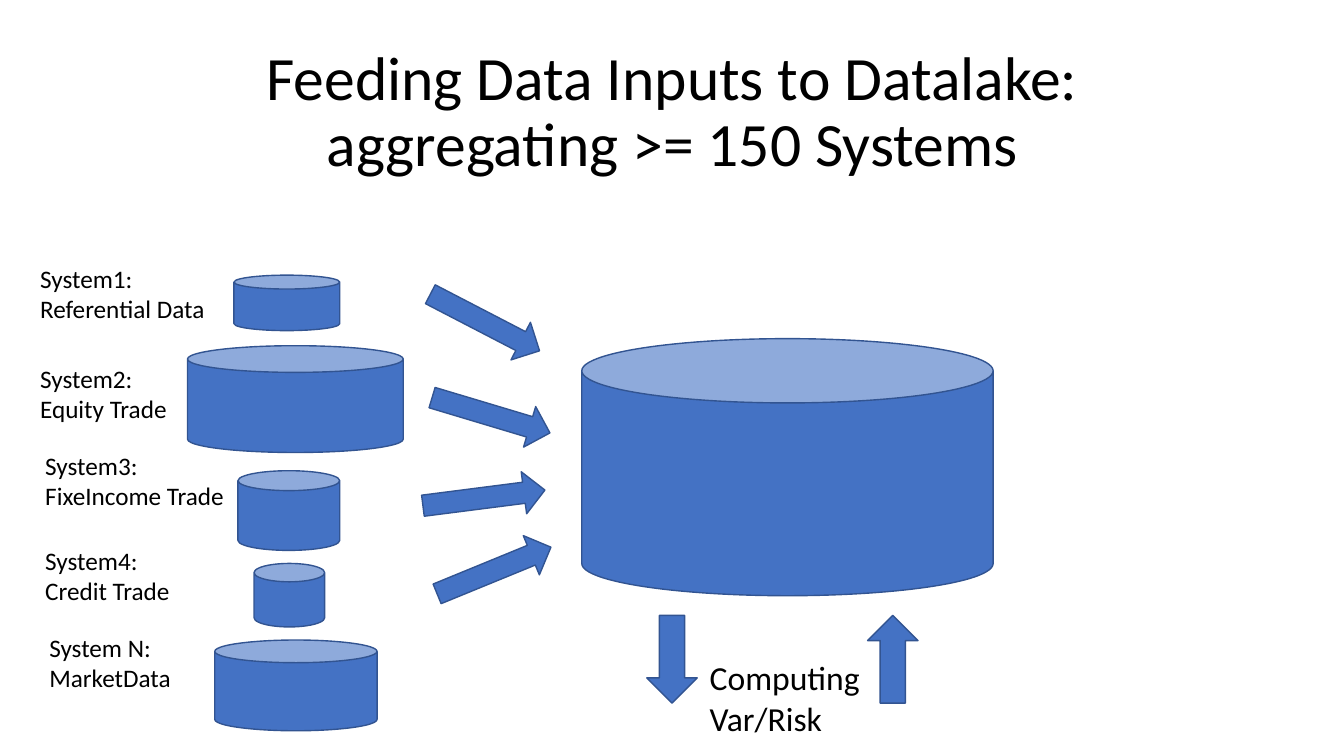
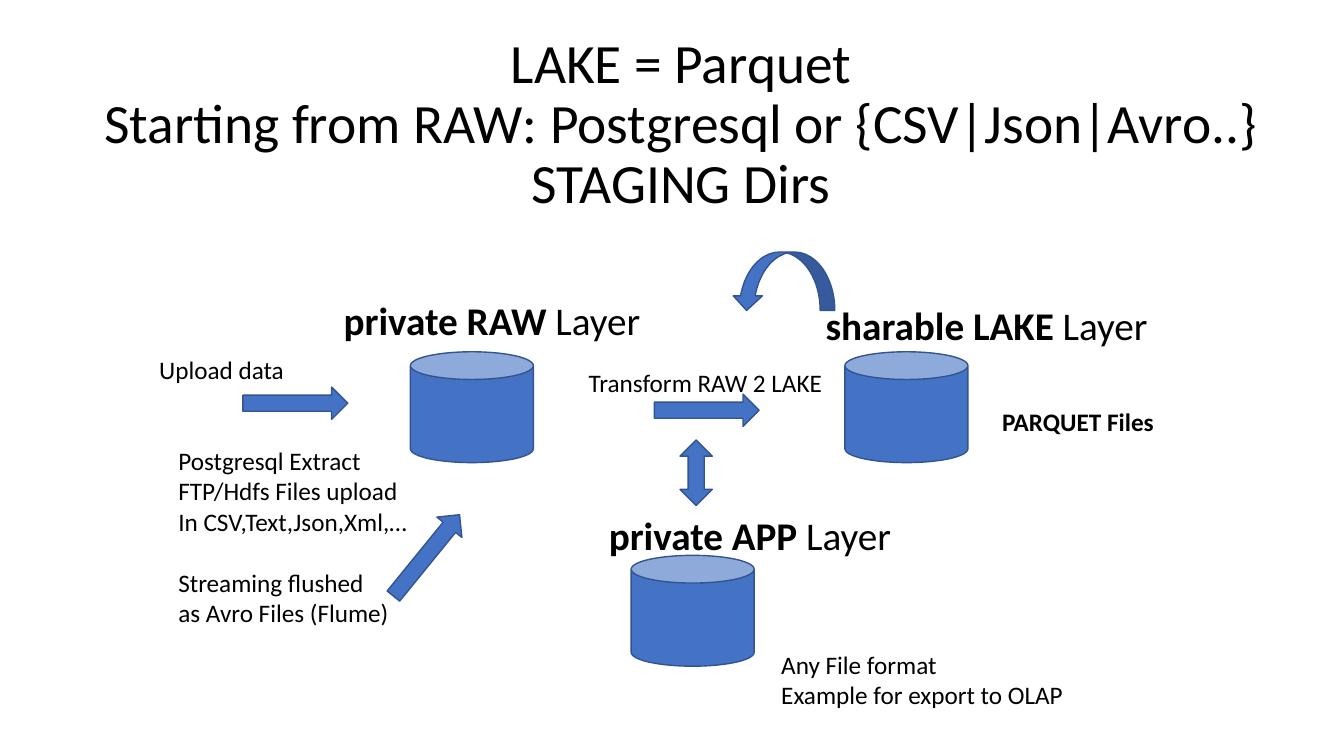
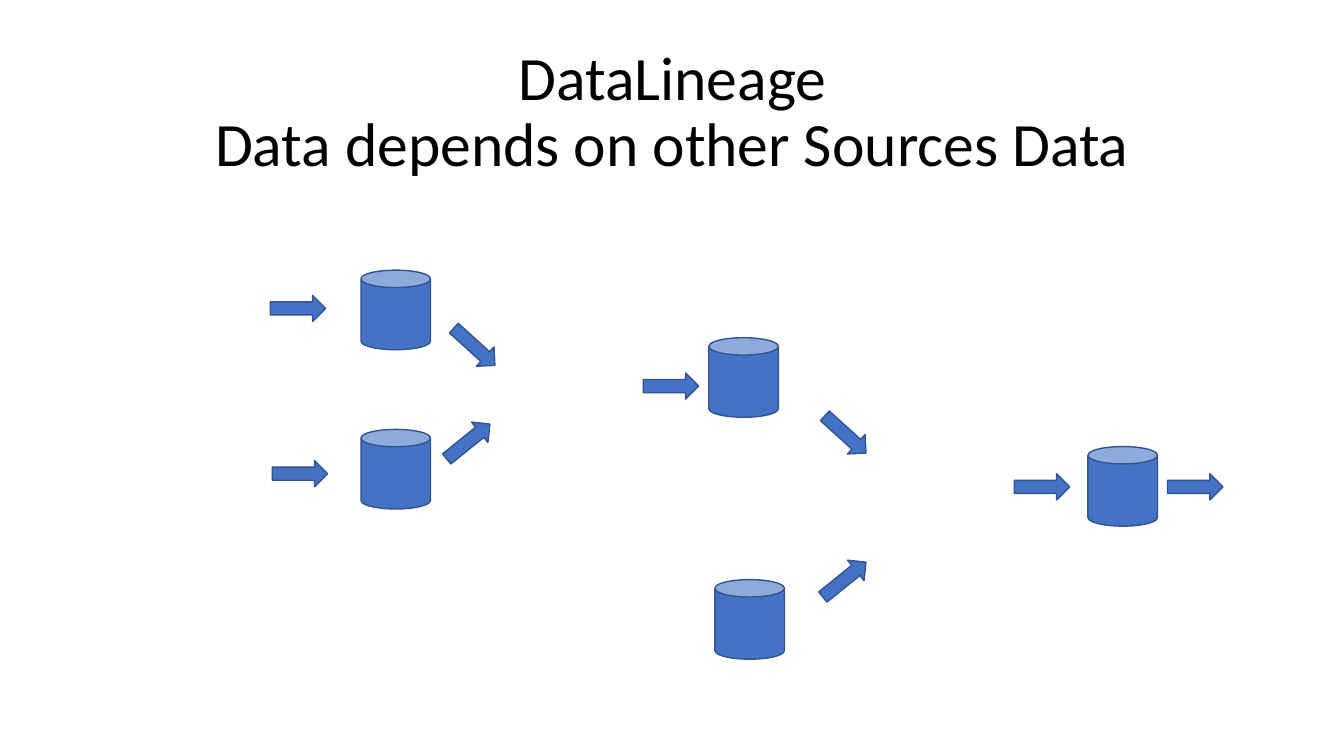
"""Build three slides on feeding a data lake, its layers and data lineage."""
from dataclasses import dataclass

from pptx import Presentation
from pptx.dml.color import RGBColor
from pptx.enum.shapes import MSO_SHAPE as Shape
from pptx.enum.text import MSO_ANCHOR as Anchor, MSO_AUTO_SIZE as AutoSize, PP_ALIGN as Align
from pptx.util import Inches, Pt


@dataclass(frozen=True)
class Theme:
    font: str = "Calibri"
    text: RGBColor = RGBColor(0x00, 0x00, 0x00)
    fill: RGBColor = RGBColor(0x44, 0x72, 0xC4)
    line: RGBColor = RGBColor(0x32, 0x54, 0x91)
    title: float = 44
    long_title: float = 39.6
    layer: float = 28
    result: float = 24
    label: float = 18


theme = Theme()


def add_block(slide, kind, left, top, size, rotation=0):
    width, height = size
    shape = slide.shapes.add_shape(kind, Inches(left), Inches(top), Inches(width), Inches(height))
    shape.rotation = rotation
    shape.shadow.inherit = False
    shape.fill.solid()
    shape.fill.fore_color.rgb = theme.fill
    shape.line.color.rgb = theme.line
    shape.line.width = Pt(1)
    return shape


def add_label(slide, left, top, width, lines, size=theme.label, bold_lead=""):
    height = 0.1 + len(lines) * size * 1.22 / 72
    box = slide.shapes.add_textbox(Inches(left), Inches(top), Inches(width), Inches(height))
    frame = box.text_frame
    frame.word_wrap = False
    frame.auto_size = AutoSize.SHAPE_TO_FIT_TEXT
    for number, line in enumerate(lines):
        paragraph = frame.add_paragraph() if number else frame.paragraphs[0]
        if bold_lead:
            lead = paragraph.add_run()
            lead.text = bold_lead
            lead.font.bold = True
        if line:
            paragraph.add_run().text = line
        paragraph.font.name = theme.font
        paragraph.font.size = Pt(size)
        paragraph.font.color.rgb = theme.text
    return box


presentation = Presentation()
presentation.slide_width = Inches(13.33)
presentation.slide_height = Inches(7.5)
title_only = presentation.slide_layouts.get_by_name("Title Only")

titles = [
    ("Feeding Data Inputs to Datalake:\vaggregating >= 150 Systems", theme.title, (0.92, 0.4, 11.5, 1.45)),
    ("LAKE = Parquet\vStarting from RAW: Postgresql or {CSV|Json|Avro..}\vSTAGING Dirs",
     theme.long_title, (0.24, 0.4, 13.03, 1.69)),
    ("DataLineage\vData depends on other Sources Data", theme.title, (0.92, 0.4, 11.5, 1.45)),
]
for text, size, place in titles:
    title = presentation.slides.add_slide(title_only).shapes.title
    title.left, title.top, title.width, title.height = map(Inches, place)
    title.text_frame.text = text
    title.text_frame.word_wrap = True
    title.text_frame.auto_size = AutoSize.NONE
    title.text_frame.vertical_anchor = Anchor.MIDDLE
    paragraph = title.text_frame.paragraphs[0]
    paragraph.alignment = Align.CENTER
    paragraph.line_spacing = 0.9
    paragraph.font.name = theme.font
    paragraph.font.size = Pt(size)
    paragraph.font.color.rgb = theme.text
feeding, layers, lineage = presentation.slides

add_block(feeding, Shape.CAN, 5.77, 3.36, (4.08, 2.55))
systems = [
    (2.32, 2.73, (1.05, 0.55), 0.25, 0.3, 2.56, 1.85, ["System1:", "Referential Data"]),
    (1.86, 3.43, (2.14, 1.06), 0.25, 0.3, 3.55, 1.47, ["System2:", "Equity Trade"]),
    (2.36, 4.67, (1.01, 0.79), 0.25, 0.35, 4.42, 1.99, ["System3:", "FixeIncome Trade"]),
    (2.52, 5.59, (0.7, 0.63), 0.29, 0.35, 5.36, 1.45, ["System4:", "Credit Trade"]),
    (2.13, 6.35, (1.61, 0.9), 0.25, 0.39, 6.22, 1.42, ["System N:", "MarketData"]),
]
for left, top, size, lid, label_left, label_top, label_width, lines in systems:
    can = add_block(feeding, Shape.CAN, left, top, size)
    can.adjustments[0] = lid
    add_label(feeding, label_left, label_top, label_width, lines)
for left, top, rotation in [(4.2, 2.99, 27.4), (4.26, 3.91, 16.7), (4.19, 4.73, 352.7), (4.29, 5.45, 337.7)]:
    add_block(feeding, Shape.RIGHT_ARROW, left, top, (1.22, 0.42), rotation)
for left, rotation in [(6.23, 90), (8.42, 270)]:
    add_block(feeding, Shape.RIGHT_ARROW, left, 6.29, (0.87, 0.5), rotation)
add_label(feeding, 6.94, 6.47, 1.78, ["Computing", "Var/Risk"], theme.result)

layer_stores = [
    (4.07, 3.49, 3.31, 2.89, 3.18, "private RAW"),
    (8.38, 3.49, 8.09, 2.94, 3.43, "sharable LAKE"),
    (6.26, 5.51, 5.94, 5.02, 3.03, "private APP"),
]
for left, top, label_left, label_top, label_width, name in layer_stores:
    add_block(layers, Shape.CAN, left, top, (1.22, 1.1))
    add_label(layers, label_left, label_top, label_width, [" Layer"], theme.layer, name)
for left, top, rotation in [(2.41, 3.84, 0), (6.49, 3.91, 0), (3.71, 5.35, 309.1)]:
    add_block(layers, Shape.RIGHT_ARROW, left, top, (1.04, 0.32), rotation)
add_block(layers, Shape.LEFT_RIGHT_ARROW, 6.58, 4.53, (0.65, 0.32), 270)
loop_arrow = add_block(layers, Shape.CURVED_DOWN_ARROW, 7.26, 2.5, (1.02, 0.58))
loop_arrow._element.spPr.xfrm.set("flipH", "1")
add_label(layers, 5.74, 3.59, 2.54, ["Transform RAW 2 LAKE"])
add_label(layers, 1.48, 3.47, 1.45, ["Upload data"])
add_label(layers, 9.84, 3.98, 1.72, [""], bold_lead="PARQUET Files")
add_label(layers, 7.65, 6.39, 3.03, ["Any File format", "Example for export to OLAP"])
uploads = add_label(layers, 1.67, 4.37, 2.49, [
    "Postgresql Extract", "FTP/Hdfs Files upload", "In CSV,Text,Json,Xml,…",
    "Streaming flushed", "as Avro Files (Flume)"])
uploads.text_frame.paragraphs[3].space_before = Pt(22)

for left, top in [(3.58, 2.68), (3.58, 4.26), (7.03, 3.35), (7.09, 5.75), (10.79, 4.43)]:
    add_block(lineage, Shape.CAN, left, top, (0.69, 0.79))
lineage_arrows = {
    0: [(2.68, 2.93), (2.7, 4.57), (6.38, 3.7), (10.06, 4.7), (11.58, 4.7)],
    42.2: [(4.43, 3.31), (8.11, 4.18)],
    321.1: [(4.37, 4.25), (8.1, 5.62)],
}
for rotation, places in lineage_arrows.items():
    for left, top in places:
        add_block(lineage, Shape.RIGHT_ARROW, left, top, (0.55, 0.26), rotation)

presentation.save("out.pptx")
